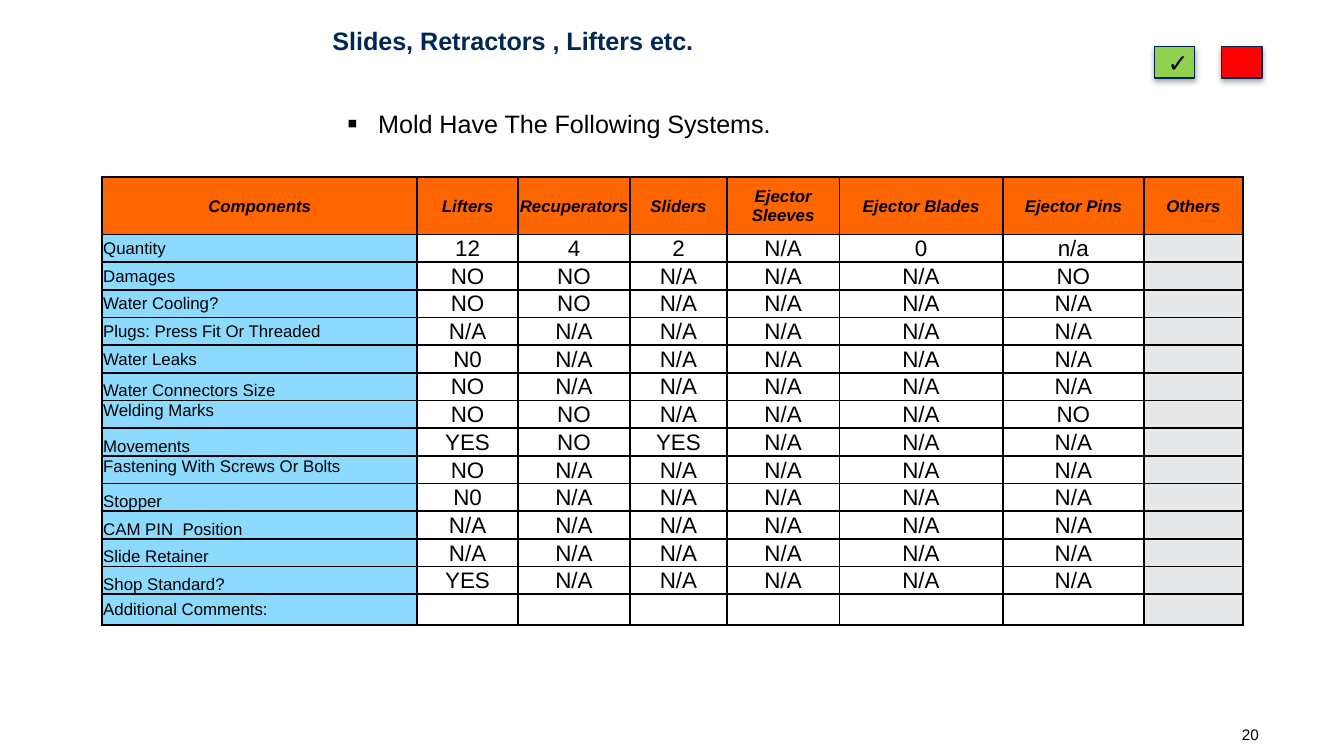
from dataclasses import dataclass
from typing import Optional

from lxml import etree
from pptx import Presentation
from pptx.dml.color import RGBColor
from pptx.enum import shapes, text
from pptx.oxml import ns
from pptx.util import Pt

BLACK = RGBColor(0x00, 0x00, 0x00)
WHITE = RGBColor(0xFF, 0xFF, 0xFF)
NAVY = RGBColor(0x00, 0x27, 0x55)
BOX_LINE = RGBColor(0x00, 0x26, 0x53)
ORANGE = RGBColor(0xFF, 0x66, 0x00)
SKY = RGBColor(0x8C, 0xDB, 0xFF)
GREY = RGBColor(0xE7, 0xE8, 0xE9)
GREEN = RGBColor(0x92, 0xD0, 0x50)
RED = RGBColor(0xFF, 0x00, 0x00)

TOP = text.MSO_ANCHOR.TOP
MIDDLE = text.MSO_ANCHOR.MIDDLE
BOTTOM = text.MSO_ANCHOR.BOTTOM
LEFT = text.PP_ALIGN.LEFT
CENTER = text.PP_ALIGN.CENTER


@dataclass
class TextStyle:
    size: float
    color: RGBColor = BLACK
    bold: bool = False
    italic: bool = False
    align: text.PP_ALIGN = LEFT


@dataclass
class Component:
    label: str
    values: str  # one word per column; the last column stays empty
    anchor: text.MSO_ANCHOR = MIDDLE


@dataclass
class StatusBox:
    left: float
    fill: RGBColor
    mark: Optional[str] = None


HEADER_STYLE = TextStyle(9, bold=True, italic=True, align=CENTER)
LABEL_STYLE = TextStyle(9)
VALUE_STYLE = TextStyle(12, align=CENTER)
BODY_STYLE = TextStyle(13.5, align=CENTER)

HEADERS = ["Components", "Lifters", "Recuperators", "Sliders", "Ejector Sleeves",
           "Ejector Blades", "Ejector Pins", "Others"]
COLUMN_WIDTHS = [168.8, 54, 60, 52, 60.2, 87.6, 75.6, 53]
HEADER_HEIGHT, ROW_HEIGHT, COMMENT_HEIGHT = 30.8, 14.83, 16.4
COMPONENTS = [
    Component("Quantity", "12 4 2 N/A 0 n/a"),
    Component("Damages", "NO NO N/A N/A N/A NO"),
    Component("Water Cooling?", "NO NO N/A N/A N/A N/A"),
    Component("Plugs: Press Fit Or Threaded", "N/A N/A N/A N/A N/A N/A"),
    Component("Water Leaks", "N0 N/A N/A N/A N/A N/A"),
    Component("Water Connectors Size", "NO N/A N/A N/A N/A N/A", BOTTOM),
    Component("Welding Marks", "NO NO N/A N/A N/A NO", TOP),
    Component("Movements", "YES NO YES N/A N/A N/A", BOTTOM),
    Component("Fastening With Screws Or Bolts", "NO N/A N/A N/A N/A N/A", TOP),
    Component("Stopper", "N0 N/A N/A N/A N/A N/A", BOTTOM),
    Component("CAM PIN  Position", "N/A N/A N/A N/A N/A N/A", BOTTOM),
    Component("Slide Retainer", "N/A N/A N/A N/A N/A N/A", BOTTOM),
    Component("Shop Standard?", "YES N/A N/A N/A N/A N/A", BOTTOM),
    Component("Additional Comments:", ""),
]
STATUS_BOXES = [StatusBox(654.5, RED), StatusBox(618.5, GREEN, "✓")]


def add_run(para, words: str, style: TextStyle) -> None:
    para.alignment = style.align
    span = para.add_run()
    span.text = words
    span.font.name = "Arial"
    span.font.size = Pt(style.size)
    span.font.bold = style.bold
    span.font.italic = style.italic
    span.font.color.rgb = style.color


def place(box, left: float, top: float, width: float, height: float) -> None:
    box.left, box.top, box.width, box.height = Pt(left), Pt(top), Pt(width), Pt(height)


def prepare_frame(box, anchor: text.MSO_ANCHOR = TOP):
    frame = box.text_frame
    frame.word_wrap = True
    frame.auto_size = text.MSO_AUTO_SIZE.NONE
    frame.vertical_anchor = anchor
    frame.margin_left = frame.margin_right = frame.margin_top = frame.margin_bottom = 0
    return frame.paragraphs[0]


def add_text_box(page, left: float, top: float, width: float, height: float):
    box = page.shapes.add_textbox(Pt(left), Pt(top), Pt(width), Pt(height))
    return prepare_frame(box)


def add_bullet(para, symbol: str, indent: float) -> None:
    properties = para._p.get_or_add_pPr()
    properties.set("marL", str(Pt(indent)))
    properties.set("indent", str(-Pt(indent)))
    etree.SubElement(properties, ns.qn("a:buSzPct"), val="120000")
    etree.SubElement(properties, ns.qn("a:buFont"), typeface="Arial")
    etree.SubElement(properties, ns.qn("a:buChar"), char=symbol)


def add_borders(cell) -> None:
    properties = cell._tc.get_or_add_tcPr()
    for side in ("a:lnL", "a:lnR", "a:lnT", "a:lnB"):
        line = etree.SubElement(properties, ns.qn(side), w=str(Pt(1)))
        fill = etree.SubElement(line, ns.qn("a:solidFill"))
        etree.SubElement(fill, ns.qn("a:srgbClr"), val=str(BLACK))


def fill_cell(cell, words: str, style: TextStyle, fill: RGBColor,
              anchor: text.MSO_ANCHOR = MIDDLE) -> None:
    add_borders(cell)
    cell.fill.solid()
    cell.fill.fore_color.rgb = fill
    cell.vertical_anchor = anchor
    cell.margin_left = cell.margin_right = cell.margin_top = Pt(0.6)
    cell.margin_bottom = 0
    para = cell.text_frame.paragraphs[0]
    if words:
        add_run(para, words, style)
    else:  # keep empty cells from stretching their row
        etree.SubElement(para._p, ns.qn("a:endParaRPr"), sz="900")


def add_component_table(page) -> None:
    heights = [HEADER_HEIGHT] + [ROW_HEIGHT] * (len(COMPONENTS) - 1) + [COMMENT_HEIGHT]
    frame = page.shapes.add_table(len(heights), len(HEADERS), Pt(54.7), Pt(94.8),
                                  Pt(sum(COLUMN_WIDTHS)), Pt(sum(heights)))
    table = frame.table
    table.first_row = table.horz_banding = False
    for column, width in zip(table.columns, COLUMN_WIDTHS):
        column.width = Pt(width)
    for row, height in zip(table.rows, heights):
        row.height = Pt(height)

    for index, header in enumerate(HEADERS):
        fill_cell(table.cell(0, index), header, HEADER_STYLE, ORANGE)
    last = len(HEADERS) - 1
    for row, component in enumerate(COMPONENTS, start=1):
        fill_cell(table.cell(row, 0), component.label, LABEL_STYLE, SKY, component.anchor)
        values = component.values.split() or [""] * (last - 1)
        for index, value in enumerate(values, start=1):
            fill_cell(table.cell(row, index), value, VALUE_STYLE, WHITE)
        fill_cell(table.cell(row, last), "", VALUE_STYLE, GREY)


def add_status_box(page, status: StatusBox) -> None:
    box = page.shapes.add_shape(shapes.MSO_SHAPE.RECTANGLE, Pt(status.left), Pt(25),
                                Pt(21.6), Pt(16.8))
    box.fill.solid()
    box.fill.fore_color.rgb = status.fill
    box.line.color.rgb = BOX_LINE
    box.line.width = Pt(0.75)
    # Soft shadow below the box
    box.shadow.inherit = False
    effects = box._element.spPr.find(ns.qn("a:effectLst"))
    shadow = etree.SubElement(effects, ns.qn("a:outerShdw"), blurRad=str(Pt(3.1)),
                              dist=str(Pt(1.8)), dir="5400000", rotWithShape="0")
    color = etree.SubElement(shadow, ns.qn("a:srgbClr"), val=str(BLACK))
    etree.SubElement(color, ns.qn("a:alpha"), val="35000")
    if status.mark:
        box.text_frame.vertical_anchor = MIDDLE
        add_run(box.text_frame.paragraphs[0], status.mark, BODY_STYLE)


def main() -> None:
    deck = Presentation()
    deck.slide_width, deck.slide_height = Pt(720), Pt(405)
    page = deck.slides.add_slide(deck.slide_layouts[5])

    # Title
    title = page.shapes.title
    place(title, 36.5, 12.2, 476.6, 18.7)
    para = prepare_frame(title, MIDDLE)
    para.line_spacing = Pt(16.5)
    add_run(para, "Slides, Retractors , Lifters etc.",
            TextStyle(13.5, NAVY, bold=True, align=CENTER))

    # Page number
    add_run(add_text_box(page, 665.3, 388.8, 25.2, 11.5), "20", TextStyle(8.2))

    # Introductory bullet
    para = add_text_box(page, 128.9, 58, 341.3, 46.8)
    add_bullet(para, "▪", 16.6)
    add_run(para, "Mold Have The Following Systems.", BODY_STYLE)

    # Component table and status boxes
    add_component_table(page)
    for status in STATUS_BOXES:
        add_status_box(page, status)

    deck.save("out.pptx")


if __name__ == "__main__":
    main()
